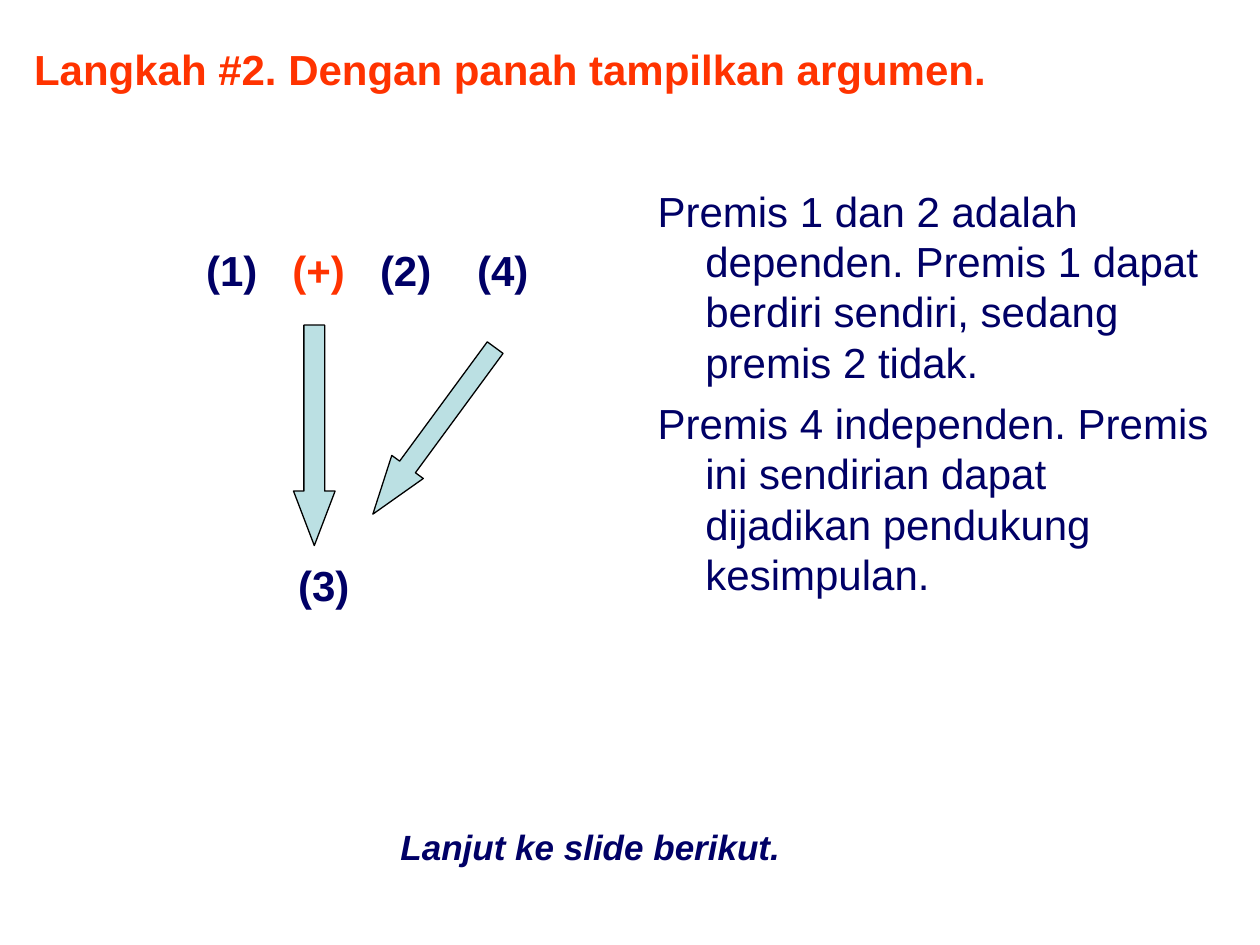
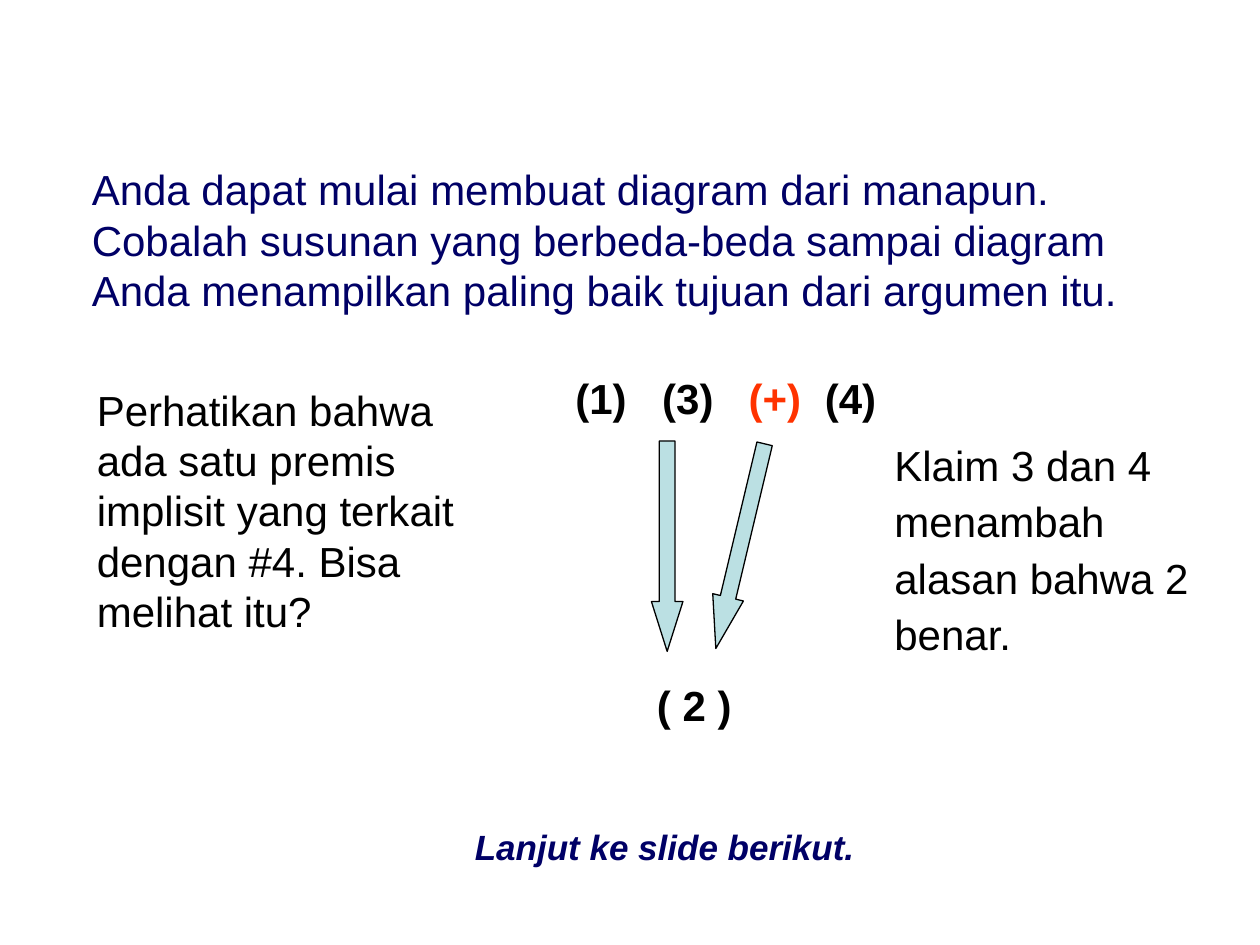
from pptx import Presentation
from pptx.dml.color import RGBColor
from pptx.enum.shapes import MSO_SHAPE
from pptx.enum.text import MSO_ANCHOR, PP_ALIGN
from pptx.util import Inches, Pt

NAVY = RGBColor(0x00, 0x00, 0x66)
RED = RGBColor(0xFF, 0x33, 0x00)
BLACK = RGBColor(0x00, 0x00, 0x00)
PALE_TEAL = RGBColor(0xBB, 0xE0, 0xE3)
FONT = "Arial"
TITLE_ONLY, BLANK = 5, 6
LABEL_W, LABEL_H = 0.6, 0.4


def format_runs(p, color, size=24, bold=False, italic=False):
    """Apply the deck's font to every run of a paragraph."""
    for r in p.runs:
        r.font.name = FONT
        r.font.size = Pt(size)
        r.font.bold = bold
        r.font.italic = italic
        r.font.color.rgb = color


def add_title(s, text):
    """Place and format the slide title."""
    sp = s.shapes.title
    sp.left, sp.top = Inches(0.17), Inches(0.17)
    sp.width, sp.height = Inches(7.92), Inches(0.75)
    tf = sp.text_frame
    tf.text = text
    tf.word_wrap = True
    tf.vertical_anchor = MSO_ANCHOR.MIDDLE
    p = tf.paragraphs[0]
    p.alignment = PP_ALIGN.LEFT
    format_runs(p, RED, bold=True)


def add_text(s, box, paragraphs, color, space=0, line_spacing=None,
             margin=0, indent=0, **style):
    """Add a wrapped text box with one paragraph per string."""
    tf = s.shapes.add_textbox(*map(Inches, box)).text_frame
    tf.word_wrap = True
    for i, text in enumerate(paragraphs):
        p = tf.add_paragraph() if i else tf.paragraphs[0]
        p.text = text
        pPr = p._p.get_or_add_pPr()
        pPr.set("marL", str(Inches(margin)))
        pPr.set("indent", str(Inches(indent)))
        if i:
            p.space_before = Pt(space)
        if line_spacing:
            p.line_spacing = line_spacing
        format_runs(p, color, **style)


def add_claim(s, text, x, y, color):
    """Add a claim label centred on a point."""
    sp = s.shapes.add_textbox(Inches(x - LABEL_W / 2), Inches(y - LABEL_H / 2),
                              Inches(LABEL_W), Inches(LABEL_H))
    tf = sp.text_frame
    tf.margin_left = tf.margin_right = tf.margin_top = tf.margin_bottom = 0
    tf.word_wrap = False
    tf.vertical_anchor = MSO_ANCHOR.MIDDLE
    tf.text = text
    p = tf.paragraphs[0]
    p.alignment = PP_ALIGN.CENTER
    format_runs(p, RED if text == "(+)" else color, bold=True)


def add_premises(s, premises, y, color):
    """Add a row of claim labels given as (text, x) pairs."""
    for text, x in premises:
        add_claim(s, text, x, y, color)


def add_arrow(s, box, head, rotation=0):
    """Add a block arrow that leads from premise to conclusion."""
    sp = s.shapes.add_shape(MSO_SHAPE.DOWN_ARROW, *map(Inches, box))
    sp.adjustments[0], sp.adjustments[1] = 0.5, head
    sp.rotation = rotation
    sp.shadow.inherit = False
    sp.fill.solid()
    sp.fill.fore_color.rgb = PALE_TEAL
    sp.line.color.rgb = BLACK
    sp.line.width = Pt(0.75)


def add_next_note(s, left):
    """Add the prompt to continue at the foot of the slide."""
    add_text(s, (left, 6.5, 3.5, 0.44), ["Lanjut ke slide berikut."], NAVY,
             size=20, bold=True, italic=True)


def build_arrow_step(prs):
    """Build the slide that shows the argument with arrows."""
    s = prs.slides.add_slide(prs.slide_layouts[TITLE_ONLY])
    add_title(s, "Langkah #2. Dengan panah tampilkan argumen.")
    add_premises(s, [("(1)", 1.84), ("(+)", 2.53), ("(2)", 3.22), ("(4)", 3.99)],
                 2.14, NAVY)
    add_claim(s, "(3)", 2.57, 4.64, NAVY)
    add_text(s, (5.12, 1.42, 4.62, 4.75), [
        "Premis 1 dan 2 adalah dependen. Premis 1 dapat berdiri sendiri, "
        "sedang premis 2 tidak.",
        "Premis 4 independen. Premis ini sendirian dapat dijadikan "
        "pendukung kesimpulan.",
    ], NAVY, space=6, margin=0.38, indent=-0.38)
    add_arrow(s, (2.33, 2.58, 0.33, 1.75), 1.31)
    add_arrow(s, (3.29, 2.6, 0.31, 1.64), 1.5, 36.3)
    add_next_note(s, 3.08)


def build_alternative_diagram(prs):
    """Build the slide that tries a different arrangement."""
    s = prs.slides.add_slide(prs.slide_layouts[BLANK])
    add_text(s, (0.25, 1.25, 9.42, 1.4), [
        "Anda dapat mulai membuat diagram dari manapun. Cobalah susunan yang "
        "berbeda-beda sampai diagram Anda menampilkan paling baik tujuan dari "
        "argumen itu.",
    ], NAVY, margin=0.38)
    add_premises(s, [("(1)", 4.77), ("(3)", 5.46), ("(+)", 6.15), ("(4)", 6.75)],
                 3.16, BLACK)
    add_claim(s, "( 2 )", 5.51, 5.59, BLACK)
    add_arrow(s, (5.17, 3.5, 0.25, 1.67), 1.58)
    add_arrow(s, (5.75, 3.5, 0.25, 1.67), 1.67, 13.4)
    add_text(s, (0.67, 3, 3.33, 2.1), [
        "Perhatikan bahwa ada satu premis implisit yang terkait dengan #4. "
        "Bisa melihat itu?",
    ], BLACK)
    add_text(s, (7, 3.58, 2.58, 1.69),
             ["Klaim 3 dan 4", "menambah", "alasan bahwa 2", "benar."],
             BLACK, space=15, line_spacing=0.6)
    add_next_note(s, 3.67)


def main():
    """Build and save the deck."""
    prs = Presentation()
    prs.slide_width, prs.slide_height = Inches(10), Inches(7.5)
    build_arrow_step(prs)
    build_alternative_diagram(prs)
    prs.save("out.pptx")


if __name__ == "__main__":
    main()
